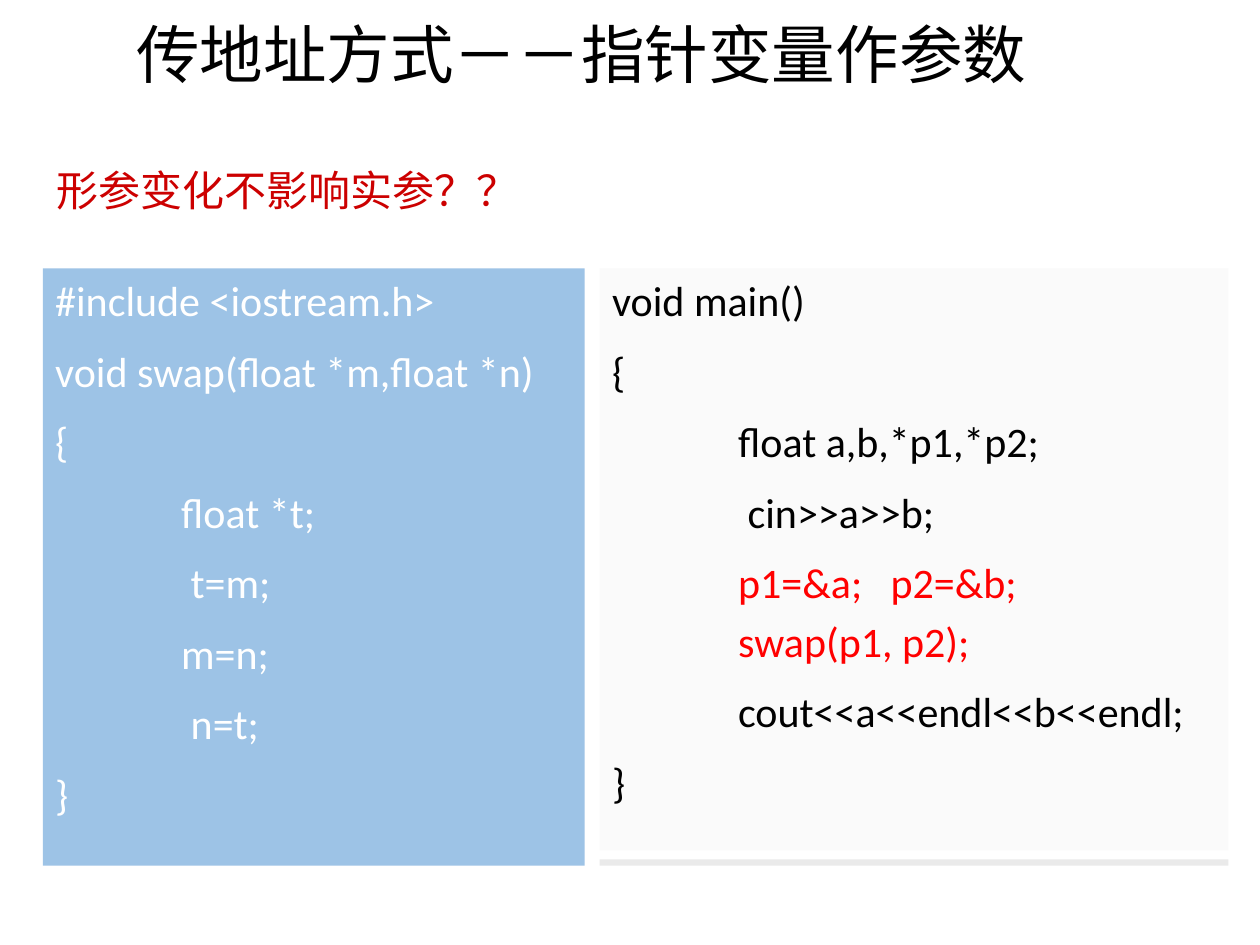
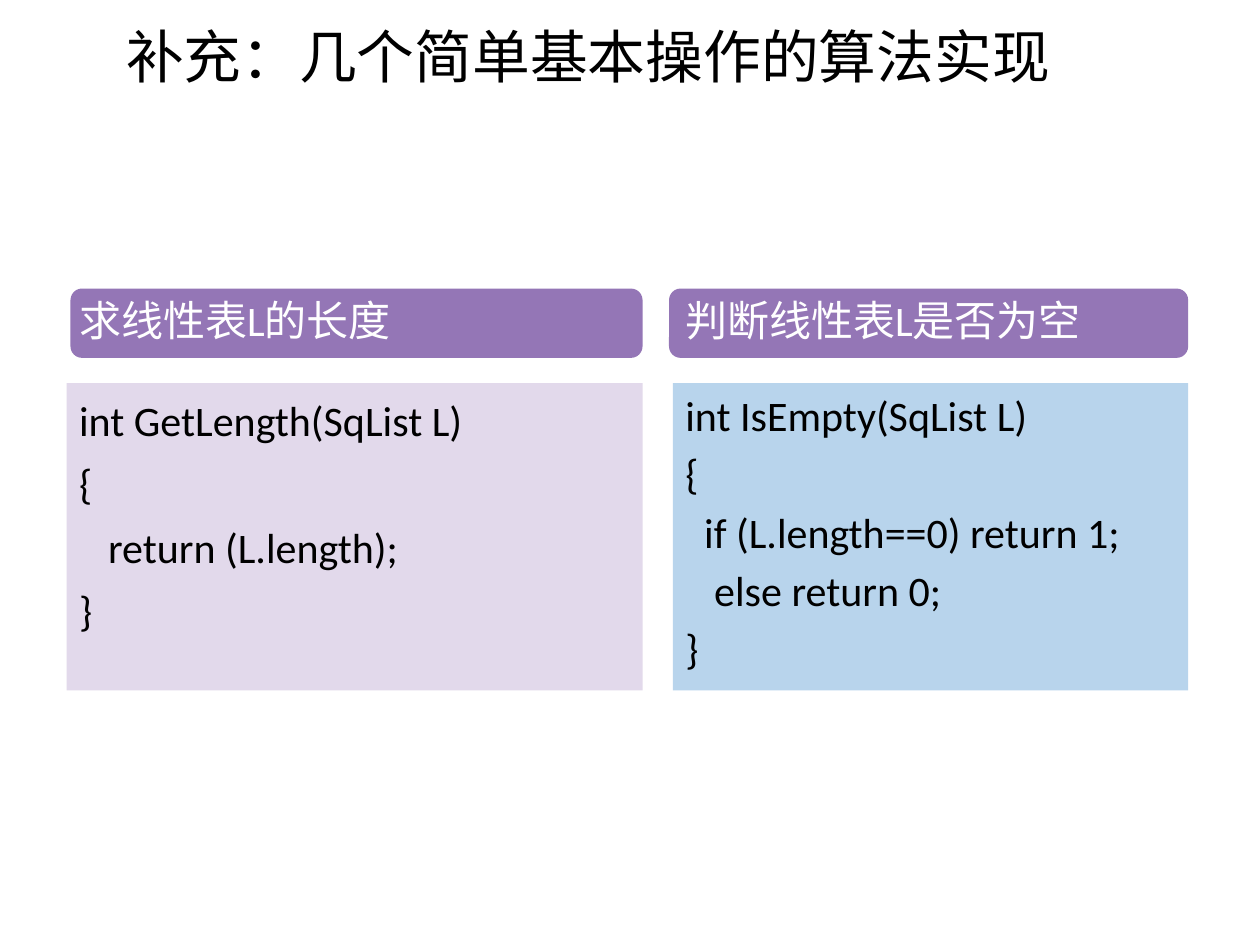
"""Build two slides on pointer parameters and basic list operations."""
from dataclasses import dataclass

from lxml import etree
from pptx import Presentation
from pptx.dml.color import RGBColor
from pptx.enum import shapes, text
from pptx.oxml.ns import qn
from pptx.util import Inches, Pt


@dataclass(frozen=True)
class Theme:
    title_font: str = "Times New Roman"
    body_font: str = "Calibri"
    body_size: float = 24
    wide_gap: float = 11.5
    narrow_gap: float = 4.6
    black: str = "000000"
    white: str = "FFFFFF"
    red: str = "FF0000"
    dark_red: str = "CC0000"
    blue: str = "9DC3E6"
    pale_blue: str = "B8D4EC"
    purple: str = "9476B6"
    pale_purple: str = "E2D9EB"
    pale_grey: str = "FAFAFA"
    grey: str = "EAEAEA"


THEME = Theme()

POINTERS = {
    "title": "传地址方式－－指针变量作参数",
    "title_box": (0.98, 0.01, 7.58, 0.93),
    "title_format": {"size": 36.3, "spacing": 0.8},
    "question": "形参变化不影响实参？？",
    "swap": ["#include <iostream.h>", "void swap(float *m,float *n)", "{",
             "\tfloat *t;", "\t t=m;", "\tm=n;", "\t n=t;", "}"],
    "main": ["void main()", "{", "\tfloat a,b,*p1,*p2;", "\t cin>>a>>b;",
             ("\tp1=&a;\tp2=&b;", {"color": THEME.red}),
             ("\tswap(p1, p2);", {"color": THEME.red, "gap": THEME.narrow_gap}),
             "\tcout<<a<<endl<<b<<endl;", "}"],
    "tabs": (1, 2.21),
}

OPERATIONS = {
    "title": "补充：几个简单基本操作的算法实现",
    "title_box": (0.9, 0.22, 8.12, 0.57),
    "title_format": {"size": 33, "spacing": 0.7},
    "tabs": (0.15, 0.23),
    "columns": [
        {"heading": "求线性表L的长度", "band": (0.56, 4.54), "panel": (0.53, 4.57),
         "heading_top": 2.25, "fill": THEME.pale_purple, "spacing": 1.1,
         "code": ["int GetLength(SqList L)", "{", "\t\treturn (L.length);", "}"]},
        {"heading": "判断线性表L是否为空", "band": (5.31, 4.12), "panel": (5.34, 4.09),
         "heading_top": 2.29, "fill": THEME.pale_blue, "spacing": 1,
         "code": ["int IsEmpty(SqList L)", "{", "\tif (L.length==0) return 1;",
                  "\t\telse return 0;", "}"]},
    ],
}
BAND_TOP, BAND_HEIGHT = 2.29, 0.55
PANEL_TOP, PANEL_HEIGHT = 3.04, 2.44


def inches(box):
    return [Inches(length) for length in box]


def write(holder, lines, *, font=THEME.body_font, size=THEME.body_size,
          color=THEME.black, spacing=1, gap=0, tabs=(),
          anchor=text.MSO_ANCHOR.TOP):
    """Fill a shape with lines; a (line, overrides) pair changes colour or gap."""
    frame = holder.text_frame
    frame.word_wrap = True
    frame.auto_size = text.MSO_AUTO_SIZE.NONE
    frame.vertical_anchor = anchor
    for index, line in enumerate(lines):
        words, special = (line, {}) if isinstance(line, str) else line
        paragraph = frame.add_paragraph() if index else frame.paragraphs[0]
        paragraph.alignment = text.PP_ALIGN.LEFT
        paragraph.line_spacing = spacing
        paragraph.space_before = Pt(special.get("gap", gap))
        if tabs:
            stops = etree.SubElement(paragraph._p.get_or_add_pPr(), qn("a:tabLst"))
            for stop in tabs:
                etree.SubElement(stops, qn("a:tab"), pos=str(Inches(stop)), algn="l")
        run = paragraph.add_run()
        run.text = words
        run.font.name = font
        run.font.size = Pt(size)
        run.font.color.rgb = RGBColor.from_string(special.get("color", color))


def add_panel(slide, box, fill, kind=shapes.MSO_SHAPE.RECTANGLE):
    panel = slide.shapes.add_shape(kind, *inches(box))
    panel.shadow.inherit = False
    panel.fill.solid()
    panel.fill.fore_color.rgb = RGBColor.from_string(fill)
    panel.line.fill.background()
    return panel


def add_titled_slide(deck, content):
    slide = deck.slides.add_slide(deck.slide_layouts.get_by_name("Title Only"))
    title = slide.shapes.title
    title.left, title.top, title.width, title.height = inches(content["title_box"])
    write(title, [content["title"]], font=THEME.title_font,
          anchor=text.MSO_ANCHOR.MIDDLE, **content["title_format"])
    return slide


def build_pointers(deck):
    slide = add_titled_slide(deck, POINTERS)
    code_format = {"gap": THEME.wide_gap, "tabs": POINTERS["tabs"]}
    main_panel = add_panel(slide, (4.76, 2.13, 4.99, 4.62), THEME.pale_grey)
    write(main_panel, POINTERS["main"], **code_format)
    swap_panel = add_panel(slide, (0.34, 2.13, 4.3, 4.74), THEME.blue)
    write(swap_panel, POINTERS["swap"], color=THEME.white, **code_format)
    question = slide.shapes.add_textbox(*inches((0.35, 1.3, 5, 0.46)))
    write(question, [POINTERS["question"]], color=THEME.dark_red, spacing=0.9)
    add_panel(slide, (4.76, 6.82, 4.99, 0.05), THEME.grey)


def build_operations(deck):
    slide = add_titled_slide(deck, OPERATIONS)
    for column in OPERATIONS["columns"]:
        left, width = column["panel"]
        band_left, band_width = column["band"]
        panel = add_panel(slide, (left, PANEL_TOP, width, PANEL_HEIGHT), column["fill"])
        write(panel, column["code"], spacing=column["spacing"],
              gap=THEME.narrow_gap, tabs=OPERATIONS["tabs"])
        add_panel(slide, (band_left, BAND_TOP, band_width, BAND_HEIGHT),
                  THEME.purple, shapes.MSO_SHAPE.ROUNDED_RECTANGLE)
        heading = slide.shapes.add_textbox(
            *inches((left, column["heading_top"], width, BAND_HEIGHT)))
        write(heading, [column["heading"]], color=THEME.white,
              spacing=column["spacing"])


def main():
    deck = Presentation()
    deck.slide_width, deck.slide_height = Inches(10), Inches(7.5)
    build_pointers(deck)
    build_operations(deck)
    deck.save("out.pptx")


if __name__ == "__main__":
    main()
